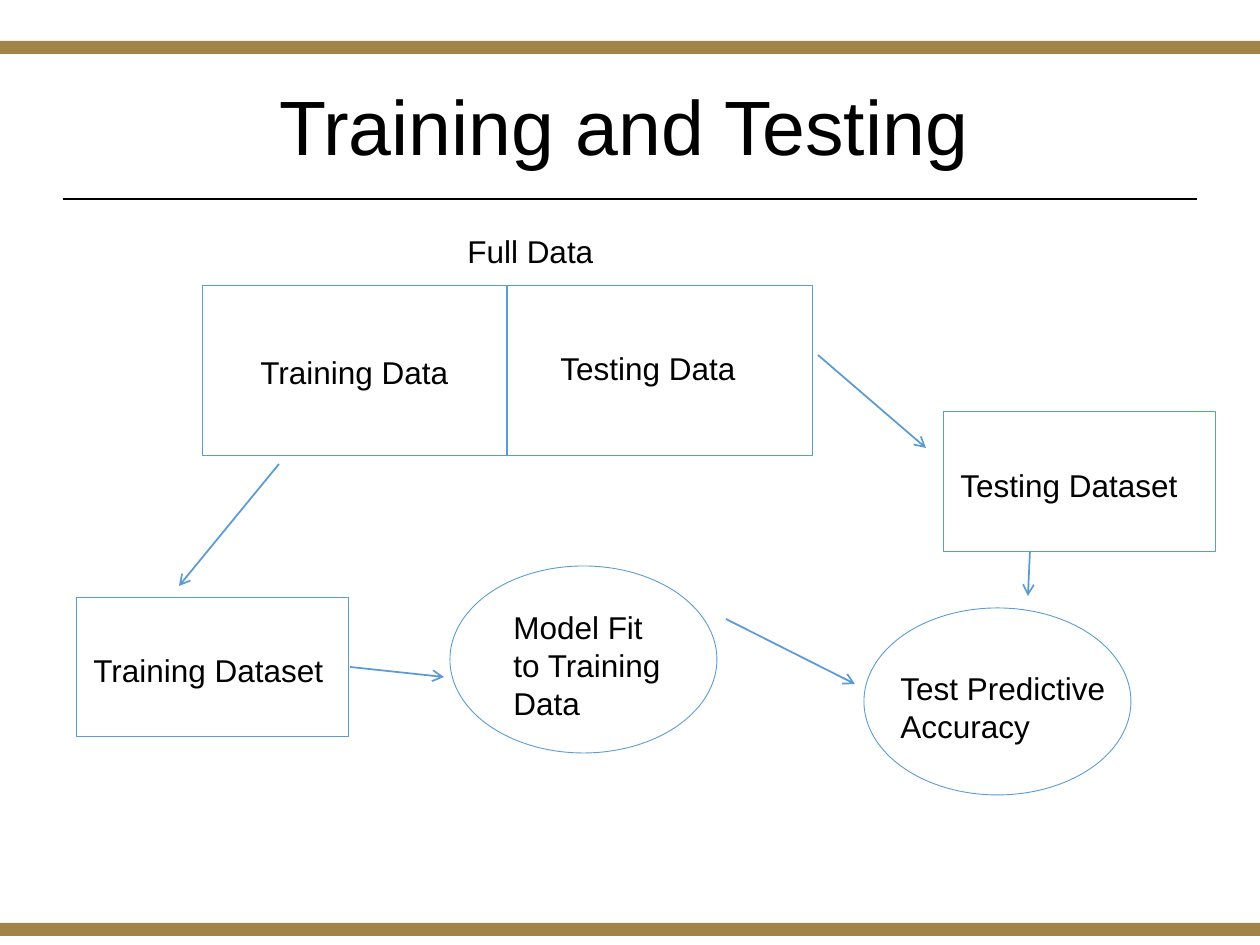
import pptx
import pptx.util
import pptx.dml.color
import pptx.enum.shapes
import pptx.enum.text
import lxml.etree

PIXEL = 914400 // 126
GOLD, BLUE, BLACK = "A28448", "5B9BD5", "000000"
RECT = pptx.enum.shapes.MSO_SHAPE.RECTANGLE
OVAL = pptx.enum.shapes.MSO_SHAPE.OVAL
ANCHOR = pptx.enum.text.MSO_ANCHOR
ALIGN = pptx.enum.text.PP_ALIGN
AUTOSIZE = pptx.enum.text.MSO_AUTO_SIZE
DRAWING = "{http://schemas.openxmlformats.org/drawingml/2006/main}"


def color(hex_value):
    return pptx.dml.color.RGBColor.from_string(hex_value)


def write(frame, lines, size, align, frame_format):
    for name, value in frame_format.items():
        setattr(frame, name, value)
    frame.text = "\n".join(lines)
    for paragraph in frame.paragraphs:
        paragraph.alignment = align
        for run in paragraph.runs:
            run.font.name = "Arial"
            run.font.size = pptx.util.Pt(size)
            run.font.color.rgb = color(BLACK)


deck = pptx.Presentation()
deck.slide_width = 1260 * PIXEL
deck.slide_height = 945 * PIXEL
slide = deck.slides.add_slide(deck.slide_layouts[5])
shapes = slide.shapes

# Title
title = shapes.title
title_place = {"left": 81, "top": 39, "width": 1086, "height": 183}
for name, pixels in title_place.items():
    setattr(title, name, pixels * PIXEL)
write(title.text_frame, ["Training and Testing"], 44, ALIGN.CENTER,
      {"word_wrap": True, "auto_size": AUTOSIZE.NONE,
       "vertical_anchor": ANCHOR.MIDDLE})
title.text_frame.paragraphs[0].line_spacing = 0.9

# Gold bands, data boxes and model steps: kind, place, fill, outline
outlines = [
    (RECT, (0, 41, 1260, 13), GOLD, None),
    (RECT, (0, 923, 1260, 13), GOLD, None),
    (RECT, (202, 285, 610, 171), None, BLUE),
    (RECT, (76, 597, 273, 140), None, BLUE),
    (RECT, (943, 412, 273, 140), None, BLUE),
    (OVAL, (450, 566, 267, 187), None, BLUE),
    (OVAL, (864, 608, 267, 187), None, BLUE),
]
for kind, place, fill, outline in outlines:
    part = shapes.add_shape(kind, *(p * PIXEL for p in place))
    part.shadow.inherit = False
    if fill:
        part.fill.solid()
        part.fill.fore_color.rgb = color(fill)
    else:
        part.fill.background()
    if outline:
        part.line.color.rgb = color(outline)
        part.line.width = pptx.util.Pt(0.5)
    else:
        part.line.fill.background()

# Title rule, data split and flow arrows: ends, color, width, arrowhead
links = [
    ((63, 199, 1197, 199), BLACK, 1.25, False),
    ((507, 285, 507, 456), BLUE, 1, False),
    ((279, 464, 179, 586), BLUE, 1, True),
    ((350, 667, 444, 677), BLUE, 1, True),
    ((818, 355, 926, 448), BLUE, 1, True),
    ((726, 619, 855, 684), BLUE, 1, True),
    ((1030, 551, 1028, 596), BLUE, 1, True),
]
for ends, stroke, width, has_arrowhead in links:
    link = shapes.add_connector(pptx.enum.shapes.MSO_CONNECTOR.STRAIGHT,
                                *(p * PIXEL for p in ends))
    link.line.color.rgb = color(stroke)
    link.line.width = pptx.util.Pt(width)
    if has_arrowhead:
        lxml.etree.SubElement(link.line._get_or_add_ln(),
                              DRAWING + "tailEnd", type="arrow")
    lxml.etree.SubElement(link._element.spPr, DRAWING + "effectLst")

# Labels: lines, place, wrapping
labels = [
    (["Full Data"], (455, 226, 152, 50), False),
    (["Training Data"], (248, 347, 215, 50), False),
    (["Testing Data"], (548, 343, 203, 50), False),
    (["Training Dataset"], (81, 645, 257, 50), False),
    (["Testing Dataset"], (948, 460, 244, 50), False),
    (["Model Fit to Training Data"], (501, 602, 175, 127), True),
    (["Test Predictive", "Accuracy"], (888, 663, 232, 89), False),
]
for lines, place, wraps in labels:
    label = shapes.add_textbox(*(p * PIXEL for p in place))
    write(label.text_frame, lines, 18, ALIGN.LEFT,
          {"word_wrap": wraps, "auto_size": AUTOSIZE.SHAPE_TO_FIT_TEXT,
           "vertical_anchor": ANCHOR.TOP})

deck.save("out.pptx")
